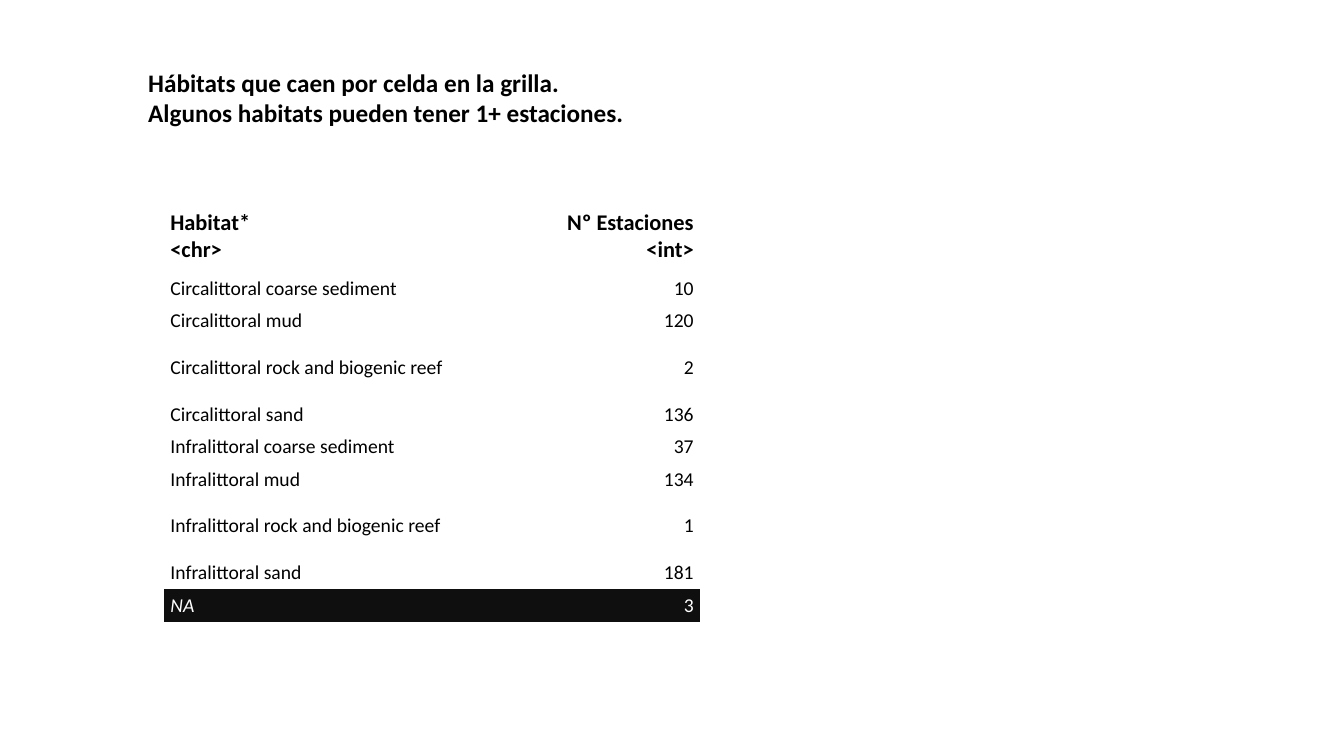
from dataclasses import dataclass

from pptx import Presentation
from pptx.dml.color import RGBColor
from pptx.enum.text import MSO_ANCHOR as Anchor, MSO_AUTO_SIZE as AutoSize, PP_ALIGN as Align
from pptx.oxml.ns import qn
from pptx.util import Inches, Pt


@dataclass(frozen=True)
class Theme:
    """Colours, font and type sizes of the slide."""
    font: str = "Calibri"
    ink: RGBColor = RGBColor(0, 0, 0)
    paper: RGBColor = RGBColor(255, 255, 255)
    missing: RGBColor = RGBColor(0x0F, 0x0F, 0x0F)
    title: int = 18
    header: int = 16
    body: int = 14


THEME = Theme()
PLAIN_STYLE = "{2D5ABB26-0587-4C30-8999-92F81FD0307C}"
TITLE = "Hábitats que caen por celda en la grilla.\nAlgunos habitats pueden tener 1+ estaciones."
HEADER = ("Habitat*\n<chr>", "Nº Estaciones\n<int>")
HABITATS = [
    ("Circalittoral coarse sediment", 10),
    ("Circalittoral mud", 120),
    ("Circalittoral rock and biogenic reef", 2),
    ("Circalittoral sand", 136),
    ("Infralittoral coarse sediment", 37),
    ("Infralittoral mud", 134),
    ("Infralittoral rock and biogenic reef", 1),
    ("Infralittoral sand", 181),
    ("NA", 3),
]
HEADER_HEIGHT, TALL_HEIGHT = 0.73, 0.6


def write(text_frame, text, size, align=Align.LEFT, color=THEME.ink, bold=False, italic=False):
    """Fill a text frame and format every run in it."""
    text_frame.text = text
    for paragraph in text_frame.paragraphs:
        paragraph.alignment = align
        for run in paragraph.runs:
            font = run.font
            font.name, font.size, font.color.rgb = THEME.font, Pt(size), color
            font.bold, font.italic = bold, italic


def add_title(slide, left, top, width, height):
    """Place the two-line heading in the title placeholder."""
    title = slide.shapes.title
    title.left, title.top, title.width, title.height = map(Inches, (left, top, width, height))
    text_frame = title.text_frame
    write(text_frame, TITLE, THEME.title, bold=True)
    text_frame.vertical_anchor = Anchor.TOP
    text_frame.word_wrap = True
    text_frame.auto_size = AutoSize.SHAPE_TO_FIT_TEXT


def row_heights(height):
    """Share the height left by the header and rock rows among the other rows."""
    tall = ["rock" in name for name, _ in HABITATS]
    short = (height - HEADER_HEIGHT - TALL_HEIGHT * sum(tall)) / tall.count(False)
    return [HEADER_HEIGHT] + [TALL_HEIGHT if is_tall else short for is_tall in tall]


def format_cell(cell, text, align, is_header, is_missing):
    """Write one table cell with its margins and fill."""
    cell.margin_left = cell.margin_right = Inches(0.06)
    cell.margin_top = Inches(0.05 if is_header else 0.02)
    cell.margin_bottom = Inches(0.03 if is_header else 0.02)
    cell.vertical_anchor = Anchor.MIDDLE
    if is_missing:
        cell.fill.solid()
        cell.fill.fore_color.rgb = THEME.missing
    else:
        cell.fill.background()
    write(cell.text_frame, text, THEME.header if is_header else THEME.body, align,
          THEME.paper if is_missing else THEME.ink, is_header, text == "NA")


def add_habitat_table(slide, left, top, width, height):
    """Draw the table of stations per habitat."""
    records = [HEADER] + HABITATS
    frame = slide.shapes.add_table(len(records), 2, *map(Inches, (left, top, width, height)))
    table = frame.table
    table.first_row = table.horz_banding = False
    for style in frame.element.iter(qn("a:tableStyleId")):
        style.text = PLAIN_STYLE
    for column, share in zip(table.columns, (0.565, 0.435)):
        column.width = Inches(width * share)
    for row, row_height, record in zip(table.rows, row_heights(height), records):
        row.height = Inches(row_height)
        for cell, value, align in zip(row.cells, record, (Align.LEFT, Align.RIGHT)):
            format_cell(cell, str(value), align, record is HEADER, record[0] == "NA")


def main():
    """Build and save the presentation."""
    presentation = Presentation()
    presentation.slide_width, presentation.slide_height = Inches(13.33), Inches(7.5)
    slide = presentation.slides.add_slide(presentation.slide_layouts[5])
    add_title(slide, 1.37, 0.62, 7.3, 0.71)
    add_habitat_table(slide, 1.63, 1.97, 5.31, 4.2)
    presentation.save("out.pptx")


if __name__ == "__main__":
    main()
